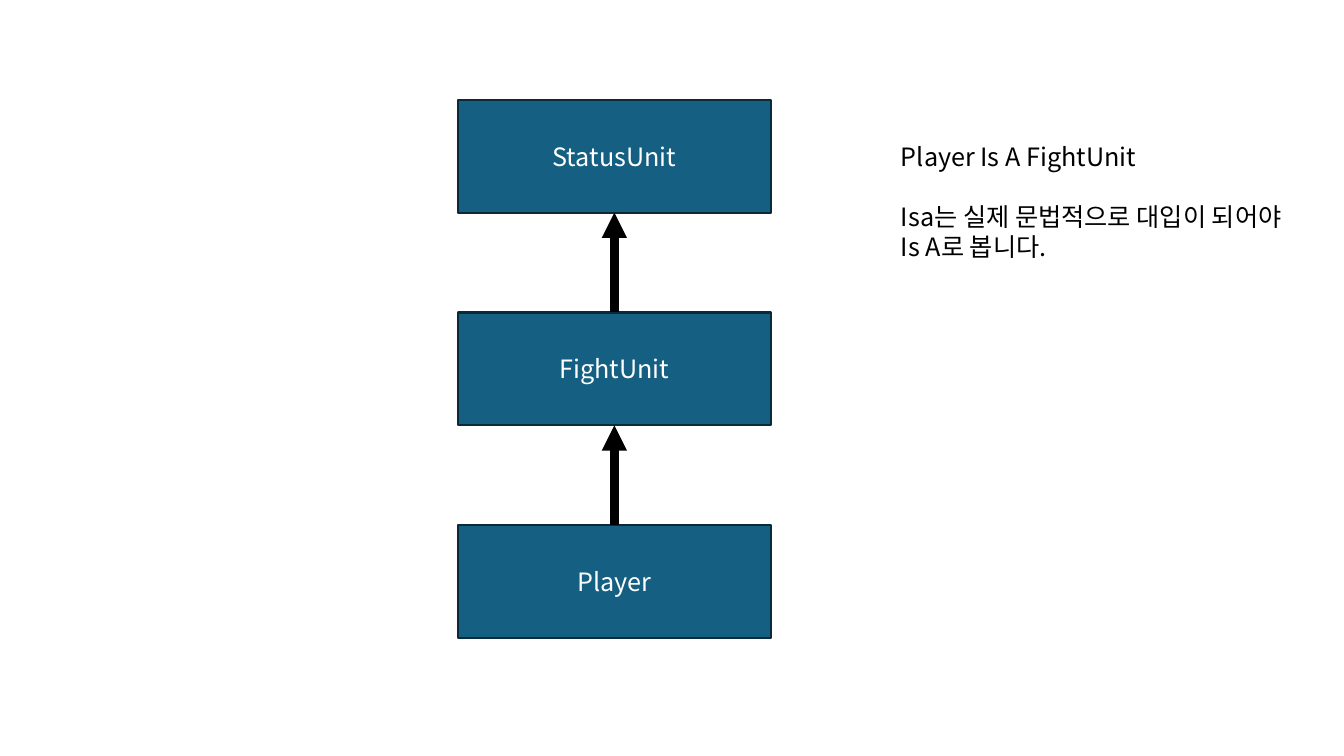
from lxml.etree import SubElement
from pptx import Presentation
from pptx.dml.color import RGBColor
from pptx.enum.shapes import MSO_CONNECTOR as Connector, MSO_SHAPE as Shape
from pptx.enum.text import MSO_ANCHOR as Anchor, PP_ALIGN as Align
from pptx.oxml.ns import qn
from pptx.util import Pt

FONT = "Noto Sans CJK KR"
TEXT_SIZE = 18
LINE_HEIGHT = 21.6

BOX_LEFT, BOX_TOP = 326.9, 71.3
BOX_WIDTH, BOX_HEIGHT = 223.9, 80.6
BOX_PITCH = 151.9
CLASSES = ["StatusUnit", "FightUnit", "Player"]

# Each note line with the space above it
NOTE_LINES = [
    ("Player Is A FightUnit", 0),
    ("Isa는 실제 문법적으로 대입이 되어야", LINE_HEIGHT),
    ("Is A로 봅니다.", 0),
]


def color(hex_code):
    return RGBColor.from_string(hex_code)


def add_span(para, text, hex_code):
    span = para.add_run()
    span.text = text
    span.font.size = Pt(TEXT_SIZE)
    span.font.name = FONT
    span.font.color.rgb = color(hex_code)
    SubElement(span.font._element, qn("a:ea"), typeface=FONT)


def add_class_box(page, name, top):
    box = page.shapes.add_shape(
        Shape.RECTANGLE, Pt(BOX_LEFT), Pt(top), Pt(BOX_WIDTH), Pt(BOX_HEIGHT))
    box.shadow.inherit = False
    box.fill.solid()
    box.fill.fore_color.rgb = color("156082")
    box.line.color.rgb = color("092A39")
    box.line.width = Pt(1.5)
    box.text_frame.vertical_anchor = Anchor.MIDDLE
    para = box.text_frame.paragraphs[0]
    para.alignment = Align.CENTER
    add_span(para, name, "FFFFFF")
    return box


def add_inheritance_arrow(page, child, parent):
    """Draw an arrow from the top of child to the bottom of parent."""
    arrow = page.shapes.add_connector(Connector.STRAIGHT, 0, 0, 0, 0)
    arrow.begin_connect(child, 0)
    arrow.end_connect(parent, 2)
    arrow.line.color.rgb = color("000000")
    arrow.line.width = Pt(6)
    SubElement(arrow.line._get_or_add_ln(), qn("a:tailEnd"), type="triangle")
    SubElement(arrow._element.spPr, qn("a:effectLst"))


def add_note(page, lines):
    box = page.shapes.add_textbox(Pt(636.5), Pt(97.2), Pt(316.8), Pt(94.3))
    frame = box.text_frame
    frame.word_wrap = True
    for index, (text, space_above) in enumerate(lines):
        para = frame.add_paragraph() if index else frame.paragraphs[0]
        para.line_spacing = Pt(LINE_HEIGHT)
        para.space_before = Pt(space_above)
        add_span(para, text, "000000")


def main():
    deck = Presentation()
    deck.slide_width, deck.slide_height = Pt(960), Pt(540)
    page = deck.slides.add_slide(deck.slide_layouts[6])

    boxes = [add_class_box(page, name, BOX_TOP + row * BOX_PITCH)
             for row, name in enumerate(CLASSES)]
    for parent, child in zip(boxes, boxes[1:]):
        add_inheritance_arrow(page, child, parent)
    add_note(page, NOTE_LINES)

    deck.save("out.pptx")


if __name__ == "__main__":
    main()
